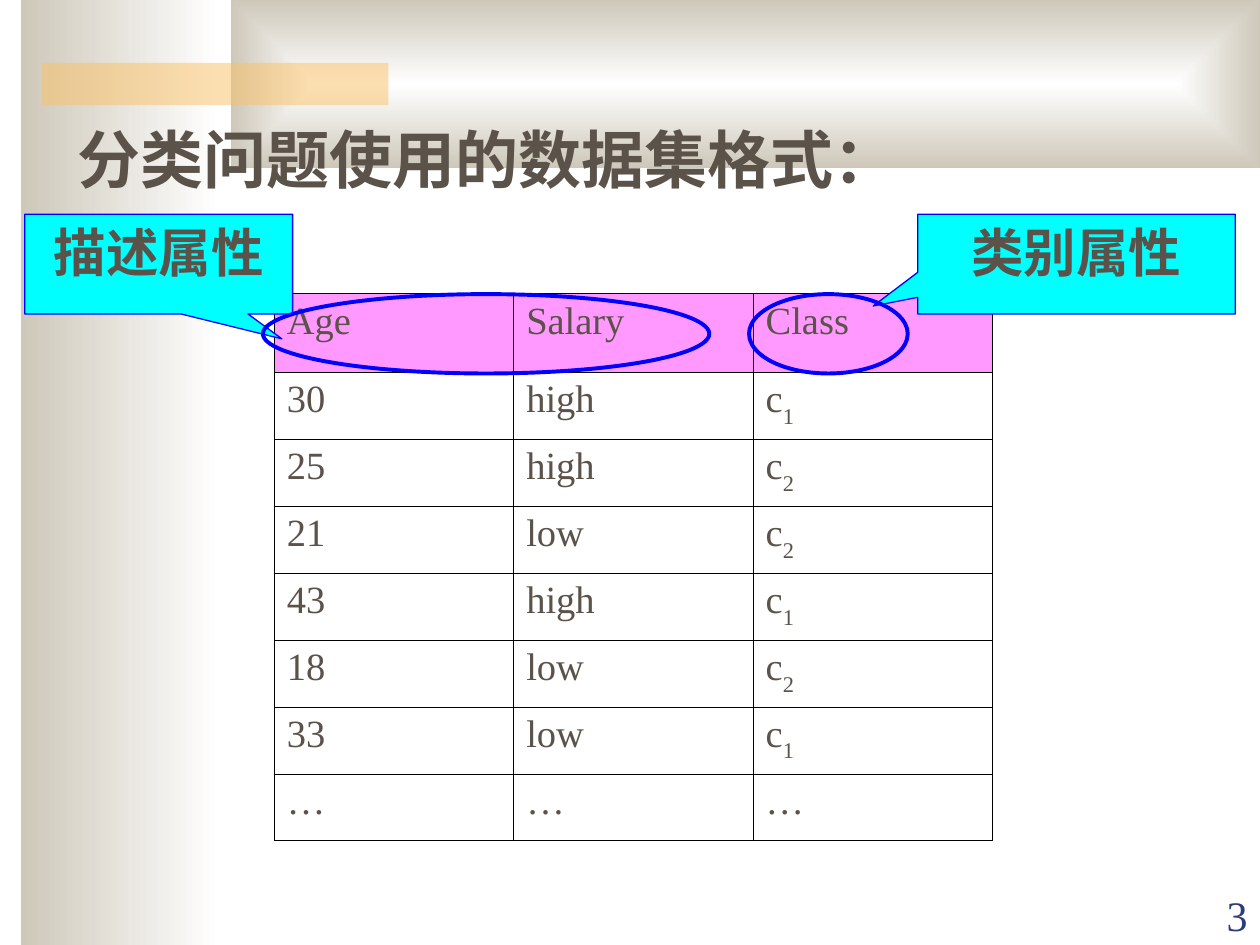
from lxml import etree
from pptx import Presentation
from pptx.dml.color import RGBColor
from pptx.enum.shapes import MSO_SHAPE
from pptx.enum.text import MSO_ANCHOR, MSO_AUTO_SIZE, PP_ALIGN
from pptx.oxml.ns import qn
from pptx.util import Cm, Pt

RECT = MSO_SHAPE.RECTANGLE
OVAL = MSO_SHAPE.OVAL
CALLOUT = MSO_SHAPE.RECTANGULAR_CALLOUT
TOP, BOTTOM = MSO_ANCHOR.TOP, MSO_ANCHOR.BOTTOM
LEFT, CENTER, RIGHT = PP_ALIGN.LEFT, PP_ALIGN.CENTER, PP_ALIGN.RIGHT

WHITE = RGBColor(0xFF, 0xFF, 0xFF)
BLACK = RGBColor(0x00, 0x00, 0x00)
SAND = RGBColor(0xCE, 0xC8, 0xBA)
AMBER = RGBColor(0xFA, 0xC1, 0x64)
BROWN = RGBColor(0x5B, 0x52, 0x49)
PINK = RGBColor(0xFF, 0x99, 0xFF)
CYAN = RGBColor(0x00, 0xFF, 0xFF)
BLUE = RGBColor(0x00, 0x00, 0xFF)
NAVY = RGBColor(0x2A, 0x3D, 0x7A)

SANS, SERIF = "Arial", "Times New Roman"

HEAD = ("Age", "Salary", "Class")
ROWS = (
    ("30", "high", "c1"),
    ("25", "high", "c2"),
    ("21", "low", "c2"),
    ("43", "high", "c1"),
    ("18", "low", "c2"),
    ("33", "low", "c1"),
    ("…", "…", "…"),
)


def add_run(para, text, size, font, color, bold=False):
    run = para.add_run()
    run.text = text
    run.font.size = Pt(size)
    run.font.name = font
    run.font.bold = bold
    run.font.color.rgb = color
    return run


def set_frame(frame, anchor, align):
    """Wrap the text, fix its anchor and return the first paragraph."""
    frame.word_wrap = True
    frame.auto_size = MSO_AUTO_SIZE.NONE
    frame.vertical_anchor = anchor
    para = frame.paragraphs[0]
    para.alignment = align
    return para


def add_shape(slide, kind, box, fill=None, line=None, width=0.75):
    shape = slide.shapes.add_shape(kind, *map(Cm, box))
    shape.shadow.inherit = False
    if fill is None:
        shape.fill.background()
    else:
        shape.fill.solid()
        shape.fill.fore_color.rgb = fill
    if line is None:
        shape.line.fill.background()
    else:
        shape.line.color.rgb = line
        shape.line.width = Pt(width)
    return shape


def add_fade(slide, box, framed=False):
    """Rectangle fading from white to sand, sideways or from its centre."""
    shape = add_shape(slide, RECT, box)
    shape.fill.gradient()
    shape.fill.gradient_angle = 180
    for stop, color, place in zip(shape.fill.gradient_stops, (WHITE, SAND), (0, 1)):
        stop.color.rgb = color
        stop.position = place
    if framed:
        lin = shape.element.spPr.find(qn("a:gradFill")).find(qn("a:lin"))
        node = etree.Element(qn("a:path"), path="rect")
        sides = dict.fromkeys("ltrb", "50000")
        etree.SubElement(node, qn("a:fillToRect"), sides)
        lin.getparent().replace(lin, node)


def add_bar(slide, box):
    bar = add_shape(slide, RECT, box, AMBER)
    color = bar.element.spPr.find(qn("a:solidFill"))[0]
    etree.SubElement(color, qn("a:alpha"), val="50000")


def add_callout(slide, box, tip, text):
    shape = add_shape(slide, CALLOUT, box, CYAN, BLUE)
    for i, value in enumerate(tip):
        shape.adjustments[i] = value
    para = set_frame(shape.text_frame, TOP, CENTER)
    add_run(para, text, 30, SANS, BROWN, True)


def set_border(cell):
    props = cell._tc.get_or_add_tcPr()
    for i, side in enumerate(("lnL", "lnR", "lnT", "lnB")):
        line = etree.Element(qn("a:" + side), w=str(Pt(0.45)))
        fill = etree.SubElement(line, qn("a:solidFill"))
        etree.SubElement(fill, qn("a:srgbClr"), val=str(BLACK))
        props.insert(i, line)


def fill_cell(cell, text, color):
    """Style a cell; the digit of a class label is set as a subscript."""
    cell.fill.solid()
    cell.fill.fore_color.rgb = color
    set_border(cell)
    para = cell.text_frame.paragraphs[0]
    if text in ("c1", "c2"):
        add_run(para, text[0], 22, SERIF, BROWN)
        sub = add_run(para, text[1], 22, SERIF, BROWN)
        sub.font._element.set("baseline", "-30000")
    else:
        add_run(para, text, 22, SERIF, BROWN)


def add_grid(slide):
    rows = (HEAD,) + ROWS
    box = map(Cm, (5.53, 5.92, 14.48, 11.07))
    table = slide.shapes.add_table(len(rows), len(HEAD), *box).table
    table.first_row = table.horz_banding = False
    for r, row in enumerate(rows):
        table.rows[r].height = Cm(1.35 if r else 1.58)
        for c, text in enumerate(row):
            fill_cell(table.cell(r, c), text, WHITE if r else PINK)


def set_title(slide, text):
    title = slide.shapes.title
    title.left, title.top, title.width, title.height = map(Cm, (1.3, 2.31, 19.61, 1.78))
    para = set_frame(title.text_frame, TOP, LEFT)
    add_run(para, text, 36, SANS, BROWN, True)
    title.element.getparent().append(title.element)  # bring to front


def add_number(slide, text):
    box = slide.shapes.add_textbox(*map(Cm, (22.86, 17.8, 2.54, 1.27)))
    para = set_frame(box.text_frame, BOTTOM, RIGHT)
    add_run(para, text, 24, SERIF, NAVY)


def main():
    deck = Presentation()
    deck.slide_width, deck.slide_height = Cm(25.4), Cm(19.05)
    slide = deck.slides.add_slide(deck.slide_layouts[5])

    add_fade(slide, (0.42, 0, 4.02, 19.05))
    add_fade(slide, (4.66, 0, 20.74, 3.39), framed=True)
    add_bar(slide, (0.85, 1.27, 6.98, 0.85))

    add_grid(slide)
    add_callout(slide, (0.5, 4.32, 5.4, 2.01), (0.46, 0.75), "描述属性")
    add_callout(slide, (18.5, 4.32, 6.4, 2.01), (-0.64, 0.42), "类别属性")
    for left, width in ((5.3, 9), (15.1, 3.2)):
        add_shape(slide, OVAL, (left, 5.93, width, 1.6), line=BLUE, width=2.25)

    set_title(slide, "分类问题使用的数据集格式：")
    add_number(slide, "3")
    deck.save("out.pptx")


if __name__ == "__main__":
    main()
